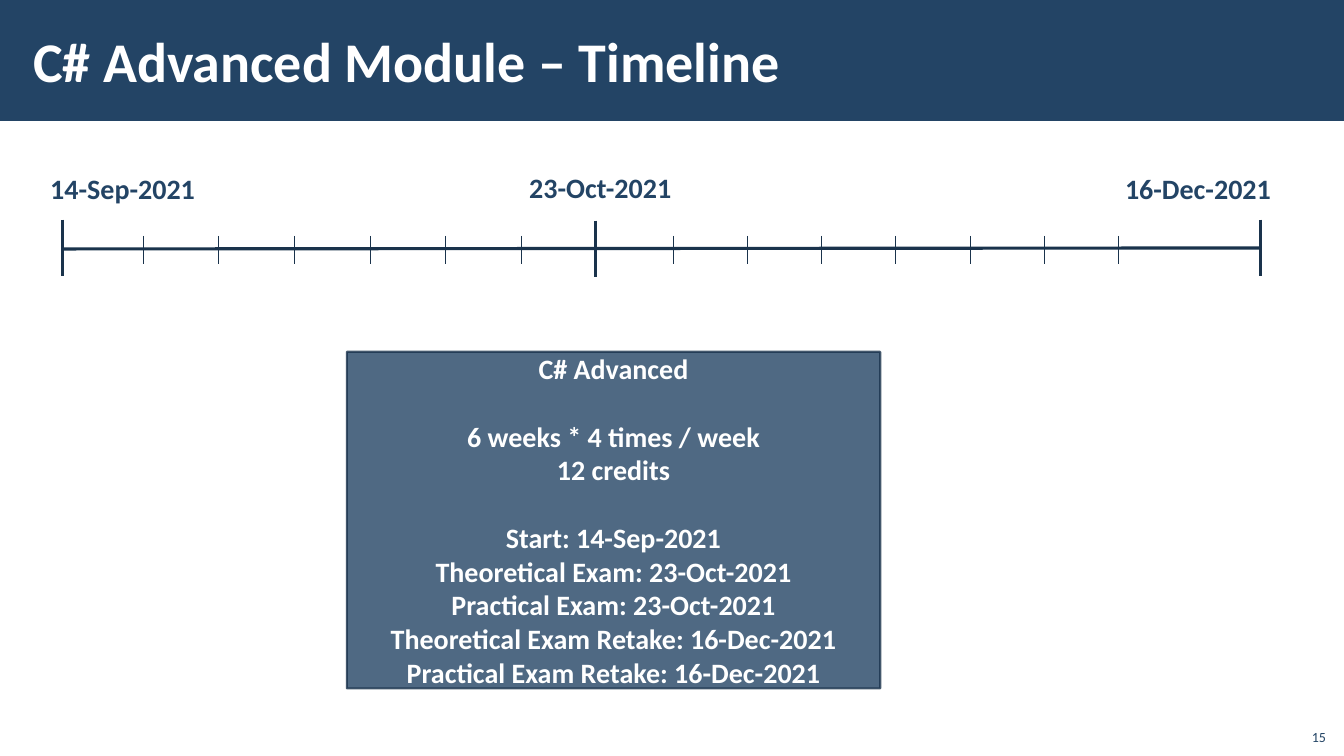
from pptx import Presentation
from pptx.dml.color import RGBColor
from pptx.enum.shapes import MSO_CONNECTOR as Link, MSO_SHAPE as Shape
from pptx.enum.text import MSO_ANCHOR as Anchor, PP_ALIGN as Align
from pptx.oxml.ns import qn
from pptx.util import Inches, Pt
from lxml.etree import SubElement

NAVY, DARK, WHITE = "234465", "1A334C", "FFFFFF"


def paint(color, code, alpha=None):
    """Set a colour from a hex string, with opacity in percent if given."""
    color.rgb = RGBColor.from_string(code)
    if alpha:
        for node in color._xFill.iter(qn("a:srgbClr")):
            SubElement(node, qn("a:alpha"), val=str(alpha * 1000))


def write(frame, lines, size, code, bold=True, align=Align.LEFT, gaps=()):
    """Fill a frame with lines; those numbered in gaps get a line's space above."""
    frame.word_wrap = True
    for i, line in enumerate(lines):
        para = frame.paragraphs[0] if i == 0 else frame.add_paragraph()
        para.text = line
        para.alignment = align
        if i in gaps:
            para.space_before = Pt(size * 1.22)
        para.font.name = "Calibri"
        para.font.size = Pt(size)
        para.font.bold = bold
        paint(para.font.color, code)


deck = Presentation()
deck.slide_width, deck.slide_height = Inches(13.33), Inches(7.5)
slide = deck.slides.add_slide(deck.slide_layouts[6])
shapes = slide.shapes

# Header
band = shapes.add_shape(Shape.RECTANGLE, 0, 0, deck.slide_width, Inches(1.2))
band.shadow.inherit = False
band.fill.solid()
paint(band.fill.fore_color, NAVY)
band.line.fill.background()

title = shapes.add_textbox(Inches(0.21), Inches(0.11), Inches(10.63), Inches(0.97)).text_frame
title.vertical_anchor = Anchor.MIDDLE
title.margin_left = title.margin_right = Inches(0.12)
title.margin_top = title.margin_bottom = Inches(0.04)
write(title, ["C# Advanced Module – Timeline"], 40, WHITE)

# Dates
for date, left, top, width in [("14-Sep-2021", 0.4, 1.65, 1.74),
                               ("23-Oct-2021", 5.15, 1.64, 2.41),
                               ("16-Dec-2021", 11.06, 1.65, 2.06)]:
    label = shapes.add_textbox(Inches(left), Inches(top), Inches(width), Inches(0.44))
    write(label.text_frame, [date], 20, NAVY)

# Axis, date marks and week ticks
start, exam, retake = 0.62, 5.91, 12.5
lines = [(start, 2.47, retake, 2.46, 2.25)]
lines += [(x, top, x, top + 0.56, 2.25)
          for x, top in [(start, 2.18), (exam, 2.19), (retake, 2.18)]]
weeks = [1.42 + 0.75 * i for i in range(6)] + [6.68 + 0.735 * i for i in range(7)]
lines += [(x, 2.34, x, 2.62, 0.5) for x in weeks]
for x1, y1, x2, y2, weight in lines:
    rule = shapes.add_connector(Link.STRAIGHT, Inches(x1), Inches(y1), Inches(x2), Inches(y2))
    rule.line.width = Pt(weight)
    paint(rule.line.color, DARK)
    SubElement(rule._element.spPr, qn("a:effectLst"))

# Course details
card = shapes.add_shape(Shape.RECTANGLE, Inches(3.44), Inches(3.49), Inches(5.29), Inches(3.34))
card.shadow.inherit = False
card.fill.solid()
paint(card.fill.fore_color, NAVY, 80)
card.line.width = Pt(1.5)
paint(card.line.color, DARK, 80)
card.text_frame.vertical_anchor = Anchor.MIDDLE
write(card.text_frame, [
    "C# Advanced",
    "6 weeks * 4 times / week",
    "12 credits",
    "Start: 14-Sep-2021",
    "Theoretical Exam: 23-Oct-2021",
    "Practical Exam: 23-Oct-2021",
    "Theoretical Exam Retake: 16-Dec-2021",
    "Practical Exam Retake: 16-Dec-2021",
], 20, WHITE, align=Align.CENTER, gaps=(1, 3))

# Page number
page = shapes.add_textbox(Inches(12.85), Inches(7.12), Inches(0.4), Inches(0.32)).text_frame
page.vertical_anchor = Anchor.BOTTOM
write(page, ["15"], 10, NAVY, bold=False, align=Align.RIGHT)

deck.save("out.pptx")
